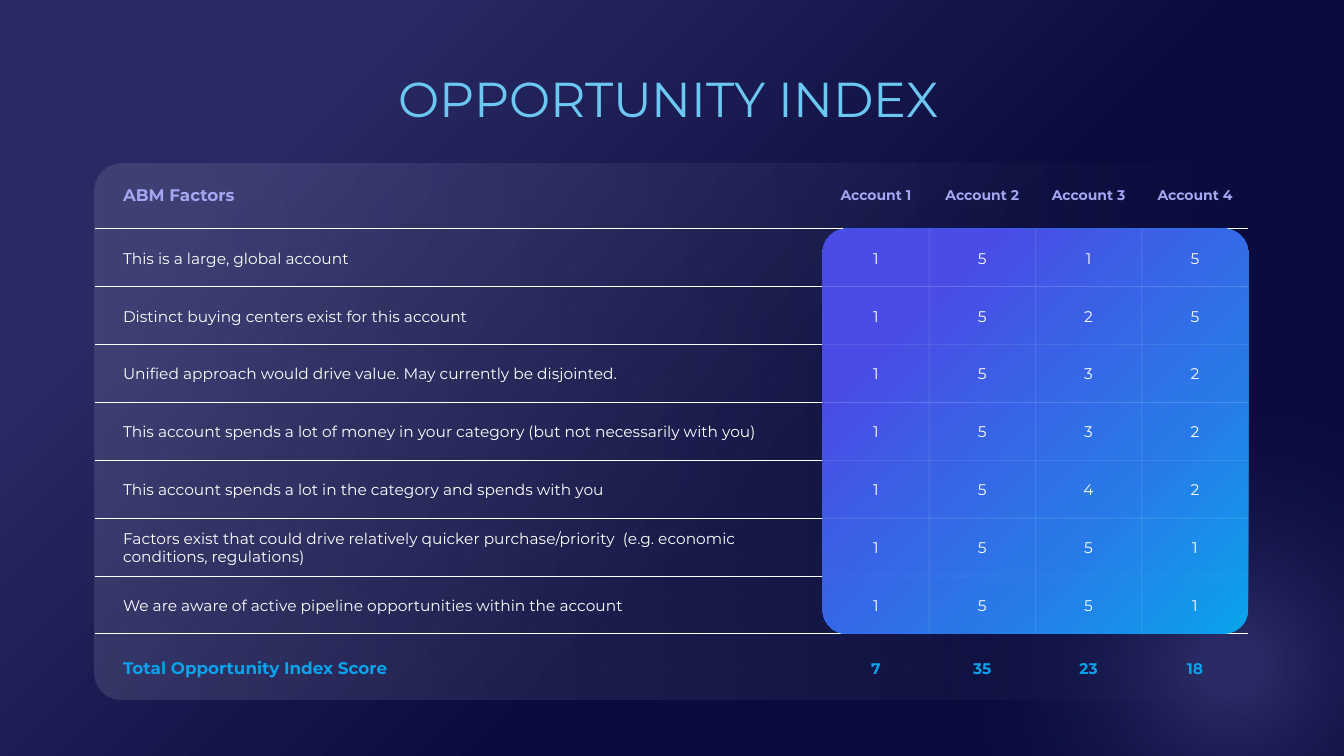
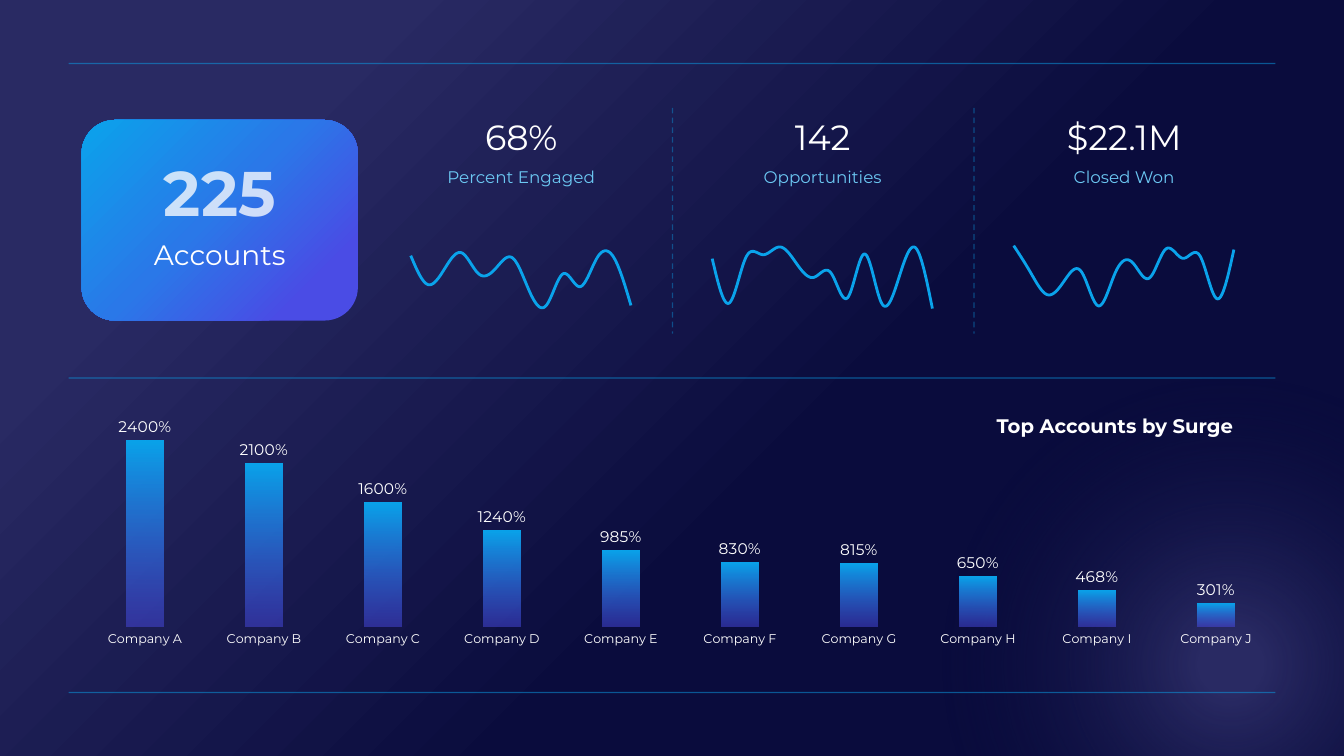
from lxml import etree
from pptx import Presentation
from pptx import util as u
from pptx.chart.data import CategoryChartData
from pptx.dml.color import RGBColor
from pptx.enum import chart as ch, dml, shapes, text
from pptx.oxml import parse_xml
from pptx.oxml.ns import nsdecls, qn

# Shared style
FONT = "Montserrat"
WHITE, SKY, CYAN, LILAC = "FFFFFF", "6CC8F3", "0AA3EB", "A4A6F2"
BLUE, VIOLET, NAVY, INK = "2A78E8", "4A4CE5", "292A63", "0A0C3D"
CORNER, CENTER = (0, 0, 100, 100), (50, 50, 50, 50)
LEFT, CENTERED, RIGHT = (text.PP_ALIGN.LEFT, text.PP_ALIGN.CENTER,
                         text.PP_ALIGN.RIGHT)
NO_GRID = "{2D5ABB26-0587-4C30-8999-92F81FD0307C}"

# Slide 1 content
HEADER = ["ABM Factors", "Account 1", "Account 2", "Account 3", "Account 4"]
FACTORS = [
    ("This is a large, global account", 1, 5, 1, 5),
    ("Distinct buying centers exist for this account", 1, 5, 2, 5),
    ("Unified approach would drive value. May currently be disjointed.",
     1, 5, 3, 2),
    ("This account spends a lot of money in your category "
     "(but not necessarily with you)", 1, 5, 3, 2),
    ("This account spends a lot in the category and spends with you",
     1, 5, 4, 2),
    ("Factors exist that could drive relatively quicker purchase/priority  "
     "(e.g. economic conditions, regulations)", 1, 5, 5, 1),
    ("We are aware of active pipeline opportunities within the account",
     1, 5, 5, 1),
]
TOTAL = ["Total Opportunity Index Score", 7, 35, 23, 18]

# Slide 2 content: value, label, axis maximum, trend
STATS = [
    ("68%", "Percent Engaged", 133,
     (96, 56, 78, 100, 71, 78, 93, 47, 27, 71, 53, 93, 93, 27)),
    ("142", "Opportunities", 123,
     (85, 28, 87, 90, 100, 78, 61, 67, 35, 91, 28, 59, 99, 21)),
    ("$22.1M", "Closed Won", 121,
     (100, 66, 38, 56, 67, 24, 66, 79, 59, 96, 84, 87, 33, 95)),
]
SURGE = {"A": 24, "B": 21, "C": 16, "D": 12.4, "E": 9.85,
         "F": 8.3, "G": 8.15, "H": 6.5, "I": 4.68, "J": 3.01}


def rgb(value):
    return RGBColor.from_string(value)


def box(*lengths):
    return [u.Inches(n) for n in lengths]


def gradient(fill, element, stops, focus=None, angle=0):
    """Fill with stops of (position, colour[, opacity]), in percent."""
    fill.background()
    empty = element.find(".//" + qn("a:noFill"))
    marks = "".join(
        f'<a:gs pos="{pos * 1000}"><a:srgbClr val="{color}">'
        f'<a:alpha val="{(alpha or [100])[0] * 1000}"/></a:srgbClr></a:gs>'
        for pos, color, *alpha in stops)
    if focus:
        sides = " ".join(f'{k}="{v * 1000}"' for k, v in zip("ltrb", focus))
        way = f'<a:path path="circle"><a:fillToRect {sides}/></a:path>'
    else:
        way = f'<a:lin ang="{angle * 60000}" scaled="0"/>'
    empty.getparent().replace(empty, parse_xml(
        f'<a:gradFill {nsdecls("a")} rotWithShape="1">'
        f'<a:gsLst>{marks}</a:gsLst>{way}</a:gradFill>'))


def fade(element, opacity):
    color = element.find(".//" + qn("a:srgbClr"))
    etree.SubElement(color, qn("a:alpha")).set("val", str(opacity * 1000))


def add_panel(s, at, kind, stops, focus=None, adj=None):
    sp = s.shapes.add_shape(kind, *box(*at))
    sp.shadow.inherit = False
    gradient(sp.fill, sp._element.spPr, stops, focus)
    sp.line.fill.background()
    if adj is not None:
        sp.adjustments[0] = adj


def add_line(s, ends, color, width, opacity=100, dashed=False):
    line = s.shapes.add_connector(shapes.MSO_CONNECTOR.STRAIGHT, *box(*ends))
    line.line.color.rgb = rgb(color)
    line.line.width = u.Pt(width)
    if dashed:
        line.line.dash_style = dml.MSO_LINE.DASH
    if opacity < 100:
        fade(line._element.spPr, opacity)
    etree.SubElement(line._element.spPr, qn("a:effectLst"))


def add_run(p, words, size, color, bold=False):
    r = p.add_run()
    r.text = str(words)
    r.font.name, r.font.size, r.font.bold = FONT, u.Pt(size), bold
    r.font.color.rgb = rgb(color)
    return r


def add_text(s, at, lines, align=CENTERED, after=0, spacing=None):
    """Add lines of (words, size, colour[, bold]); return the runs."""
    tf = s.shapes.add_textbox(*box(*at)).text_frame
    tf.word_wrap = True
    runs = []
    for i, line in enumerate(lines):
        p = tf.add_paragraph() if i else tf.paragraphs[0]
        p.alignment, p.space_after = align, u.Pt(after)
        if spacing:
            p.line_spacing = u.Pt(spacing)
        runs.append(add_run(p, *line))
    return runs


def new_slide(prs):
    s = prs.slides.add_slide(prs.slide_layouts[6])
    gradient(s.background.fill, s._element, [(19, NAVY), (60, INK)], CORNER)
    add_panel(s, (9.35, 3.75, 5.7, 5.68), shapes.MSO_SHAPE.OVAL,
              [(8, NAVY), (71, INK, 0)], CENTER)
    return s


def add_chart(s, kind, at, cats, vals, top, layout, size):
    data = CategoryChartData()
    data.categories = cats
    data.add_series("Series 1", vals)
    chart = s.shapes.add_chart(kind, *box(*at), data).chart
    chart.has_legend = chart.has_title = False
    chart.font.name, chart.font.size = FONT, u.Pt(size)
    chart.font.color.rgb = rgb(WHITE)
    axis = chart.value_axis
    axis.minimum_scale, axis.maximum_scale = 0, top
    axis.has_major_gridlines = axis.visible = False
    # Fixed inner plot area
    plot_area = chart._chartSpace.chart.plotArea
    for old in plot_area.findall(qn("c:layout")):
        plot_area.remove(old)
    parts = "".join(f'<c:{k} val="{v}"/>' for k, v in zip("xywh", layout))
    plot_area.insert(0, parse_xml(
        f'<c:layout {nsdecls("c")}><c:manualLayout>'
        '<c:layoutTarget val="inner"/><c:xMode val="edge"/>'
        f'<c:yMode val="edge"/>{parts}</c:manualLayout></c:layout>'))
    plot = chart.plots[0]
    plot.vary_by_categories = False
    return chart, plot, plot.series[0]


def index_slide(prs):
    s = new_slide(prs)
    title, = add_text(s, (2.63, 0.63, 8, 0.69),
                      [("OPPORTUNITY INDEX", 35, SKY)])
    gradient(title.font.fill, title._r, [(0, SKY), (64, CYAN)], CORNER)

    # Grid shared by the panels, rules and table
    left, split, right = 0.94, 8.16, 12.38
    top, row_h = 2.27, 0.574
    score_w = (right - split) / 4
    bottom = top + row_h * len(FACTORS)
    edges = [top + row_h * i for i in range(len(FACTORS) + 1)]

    # Panels and rules behind the table
    rounded = shapes.MSO_SHAPE.ROUNDED_RECTANGLE
    add_panel(s, (left, 1.62, right - left, 5.32), rounded,
              [(0, "8485A8", 25), (100, "8485A8", 0)], adj=0.05)
    for y in edges:
        add_line(s, (left, y, right, y), WHITE, 0.5)
    add_panel(s, (split, top, right - split, bottom - top), rounded,
              [(20, VIOLET), (66, BLUE), (100, CYAN)], CORNER, 0.06)
    for i in range(1, 4):
        x = split + score_w * i
        add_line(s, (x, top, x, bottom), WHITE, 0.25, 25)
    for y in edges[1:-1]:
        add_line(s, (split, y, right, y), WHITE, 0.25, 25)

    # Table
    rows = [HEADER, *FACTORS, TOTAL]
    last = len(rows) - 1
    heights = [0.68] + [row_h] * len(FACTORS) + [0.68]
    table = s.shapes.add_table(
        len(rows), 5, *box(left, 1.6, right - left, sum(heights))).table
    table.first_row = table.horz_banding = False
    table._tbl.tblPr.find(qn("a:tableStyleId")).text = NO_GRID
    for c, w in enumerate([split - left] + [score_w] * 4):
        table.columns[c].width = u.Inches(w)
    for r, row in enumerate(rows):
        table.rows[r].height = u.Inches(heights[r])
        for c, words in enumerate(row):
            cell = table.cell(r, c)
            cell.fill.background()
            cell.vertical_anchor = text.MSO_ANCHOR.MIDDLE
            cell.margin_top = cell.margin_bottom = u.Inches(0.03)
            cell.margin_left = u.Inches(0.05 if c else 0.28)
            cell.margin_right = u.Inches(0.05 if c else 0.1)
            p = cell.text_frame.paragraphs[0]
            p.alignment = CENTERED if c else LEFT
            color = {0: LILAC, last: CYAN}.get(r, WHITE)
            size = 11
            if r in (0, last):
                size = 12 if c == 0 else 10 if r == 0 else 11
            add_run(p, words, size, color, r in (0, last))


def dashboard_slide(prs):
    s = new_slide(prs)
    # Accounts card
    add_panel(s, (0.81, 1.19, 2.74, 1.99), shapes.MSO_SHAPE.ROUNDED_RECTANGLE,
              [(0, CYAN), (47, BLUE), (83, VIOLET)], CORNER)
    count, _ = add_text(s, (0.81, 1.47, 2.74, 1.28),
                        [("225", 45, WHITE, True), ("Accounts", 20, WHITE)],
                        after=6)
    fade(count._r, 76)

    # Section rules
    for i in range(3):
        y = 0.63 + 3.12 * i
        add_line(s, (0.68, y, 12.65, y), CYAN, 1, 50)

    # Stats with trend lines
    for i, (value, label, top, trend) in enumerate(STATS):
        x = 3.99 + 2.99 * i
        if i:
            add_line(s, (x - 0.31, 1.07, x - 0.31, 3.31), CYAN, 1, 40, True)
        chart, _, ser = add_chart(
            s, ch.XL_CHART_TYPE.LINE, (x, 2.21, 2.36, 1.09),
            [str(n + 1) for n in range(len(trend))], trend, top,
            (0, 0.057, 0.997, 0.874), 10)
        chart.category_axis.visible = False
        ser.smooth = True
        ser.format.line.color.rgb = rgb(CYAN)
        ser.format.line.width = u.Pt(2)
        add_text(s, (x, 1.1, 2.36, 0.81),
                 [(value, 25, WHITE), (label, 12, SKY)], after=6)

    # Surge chart
    chart, plot, ser = add_chart(
        s, ch.XL_CHART_TYPE.COLUMN_CLUSTERED, (0.68, 3.74, 11.97, 2.87),
        [f"Company {k}" for k in SURGE], SURGE.values(), 30,
        (0.014, 0.059, 0.986, 0.804), 11)
    plot.gap_width, plot.overlap = 219, -27
    gradient(ser.format.fill, ser._element,
             [(0, CYAN), (100, VIOLET, 50)], angle=90)
    axis = chart.category_axis
    axis.major_tick_mark = ch.XL_TICK_MARK.NONE
    axis.format.line.fill.background()
    axis.tick_labels.font.size = u.Pt(9)
    plot.has_data_labels = True
    labels = plot.data_labels
    labels.show_value = True
    labels.number_format, labels.number_format_is_linked = "0%", False
    labels.position = ch.XL_LABEL_POSITION.OUTSIDE_END
    labels.font.name, labels.font.size = FONT, u.Pt(11)
    labels.font.color.rgb = rgb(WHITE)
    add_text(s, (9.11, 4.01, 3.22, 0.36),
             [("Top Accounts by Surge", 14, WHITE, True)], RIGHT, spacing=20)


def main():
    prs = Presentation()
    prs.slide_width, prs.slide_height = box(13.33, 7.5)
    index_slide(prs)
    dashboard_slide(prs)
    prs.save("out.pptx")


if __name__ == "__main__":
    main()
